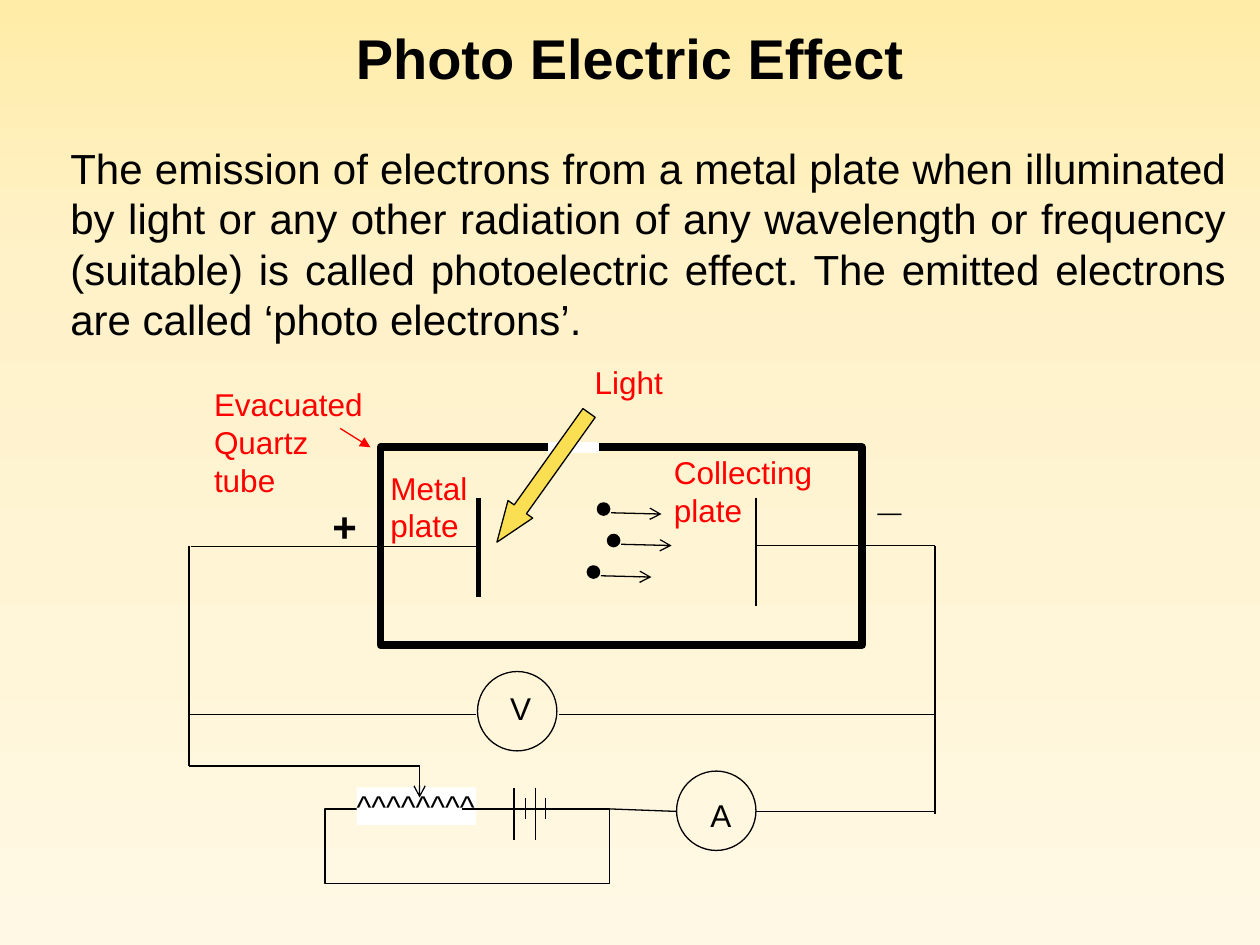
from lxml import etree
from pptx import Presentation
from pptx.dml.color import RGBColor
from pptx.enum.shapes import MSO_CONNECTOR, MSO_SHAPE
from pptx.enum.text import MSO_ANCHOR, PP_ALIGN
from pptx.oxml.ns import qn
from pptx.util import Inches, Pt

RECT, OVAL, LEFT_ARROW = MSO_SHAPE.RECTANGLE, MSO_SHAPE.OVAL, MSO_SHAPE.LEFT_ARROW
STRAIGHT = MSO_CONNECTOR.STRAIGHT
TOP, MIDDLE = MSO_ANCHOR.TOP, MSO_ANCHOR.MIDDLE
LEFT, CENTER, JUSTIFY = PP_ALIGN.LEFT, PP_ALIGN.CENTER, PP_ALIGN.JUSTIFY

BLACK = RGBColor(0x00, 0x00, 0x00)
WHITE = RGBColor(0xFF, 0xFF, 0xFF)
RED = RGBColor(0xFF, 0x00, 0x00)
YELLOW = RGBColor(0xFB, 0xDF, 0x53)
BACKGROUND_STOPS = [
    (0, RGBColor(0xFF, 0xEC, 0xA7)),
    (28, RGBColor(0xFF, 0xF2, 0xC9)),
    (100, RGBColor(0xFF, 0xF8, 0xE4)),
]
FONT = "Arial"

# Content: lengths in inches, line widths in points
TITLE = "Photo Electric Effect"
DEFINITION = (
    "The emission of electrons from a metal plate when illuminated by light or any "
    "other radiation of any wavelength or frequency (suitable) is called photoelectric "
    "effect. The emitted electrons are called ‘photo electrons’."
)
LEFT_X, RIGHT_X = 1.5, 7.42
PLATE_Y, VOLT_Y, SLIDER_Y, SUPPLY_Y = 4.33, 5.67, 6.08, 6.42
METER_SIZE = 0.63
ELECTRON_SIZE = 0.08

# outline, left, top, width, height, line width
OUTLINES = [
    (RECT, 3.02, 3.55, 3.82, 1.57, 4.5),              # quartz tube
    (RECT, 2.58, SUPPLY_Y, 2.26, 0.59, 0.75),         # supply loop
    (OVAL, 3.79, 5.33, METER_SIZE, METER_SIZE, 0.75),  # voltmeter
    (OVAL, 5.37, 6.12, METER_SIZE, METER_SIZE, 0.75),  # ammeter
]
# from x, from y, to x, to y, width, colour, arrowhead
WIRES = [
    (4.35, 3.55, 4.75, 3.55, 6, WHITE, None),         # window in the tube
    (3.8, 3.95, 3.8, 4.74, 3, BLACK, None),           # metal plate
    (6, 3.95, 6, 4.81, 1, BLACK, None),               # collecting plate
    (3.8, 4.34, 1.52, 4.34, 0.75, BLACK, None),
    (RIGHT_X, PLATE_Y, 6, PLATE_Y, 0.75, BLACK, None),
    (LEFT_X, PLATE_Y, LEFT_X, SLIDER_Y, 0.75, BLACK, None),
    (RIGHT_X, PLATE_Y, RIGHT_X, 6.46, 0.75, BLACK, None),
    (3.78, VOLT_Y, LEFT_X, VOLT_Y, 0.75, BLACK, None),
    (4.44, VOLT_Y, RIGHT_X, VOLT_Y, 0.75, BLACK, None),
    (3.33, SLIDER_Y, LEFT_X, SLIDER_Y, 0.75, BLACK, None),
    (3.33, SLIDER_Y, 3.33, 6.33, 0.75, BLACK, "arrow"),
    (3.67, SUPPLY_Y, 3.83, SUPPLY_Y, 0.75, BLACK, None),
    (4.83, SUPPLY_Y, 5.37, 6.44, 0.75, BLACK, None),
    (RIGHT_X, 6.44, 6, 6.44, 0.75, BLACK, None),
    (2.7, 3.4, 2.94, 3.55, 0.75, RED, "triangle"),    # pointer to the tube
]
# x, top, bottom of each battery plate
BATTERY_PLATES = [(4.08, 6.25, 6.67), (4.17, 6.33, 6.5),
                  (4.25, 6.25, 6.67), (4.33, 6.33, 6.5)]
ELECTRONS = [(4.75, 4), (4.83, 4.25), (4.67, 4.5)]
# text, left, top, width, height, size, colour, bold
LABELS = [
    ("V", 3.95, 5.42, 0.63, 0.4, 18, BLACK, False),
    ("A", 5.54, 6.27, 0.63, 0.4, 18, BLACK, False),
    ("Evacuated Quartz tube", 1.6, 3.01, 1.42, 1.01, 18, RED, False),
    ("Metal plate", 3, 3.67, 0.82, 0.7, 18, RED, False),
    ("Collecting plate", 5.25, 3.55, 1.43, 0.7, 18, RED, False),
    ("Light", 4.62, 2.83, 2.05, 0.4, 18, RED, False),
    ("+", 2.54, 3.92, 0.63, 0.51, 24, BLACK, True),
    ("_", 6.87, 3.67, 0.63, 0.51, 24, BLACK, True),
]


def paint_background(slide):
    fill = slide.background.fill
    fill.gradient()
    fill.gradient_angle = 270
    stops = slide.background._cSld.find(".//" + qn("a:gsLst"))
    for stop in list(stops):
        stops.remove(stop)
    for percent, color in BACKGROUND_STOPS:
        stop = etree.SubElement(stops, qn("a:gs"), pos=str(percent * 1000))
        etree.SubElement(stop, qn("a:srgbClr"), val=str(color))


def add_text(slide, text, left, top, width, height, size, color=BLACK, bold=False,
             align=LEFT, anchor=TOP):
    box = slide.shapes.add_textbox(*map(Inches, (left, top, width, height)))
    frame = box.text_frame
    frame.word_wrap = True
    frame.vertical_anchor = anchor
    paragraph = frame.paragraphs[0]
    paragraph.alignment = align
    run = paragraph.add_run()
    run.text = text
    run.font.name, run.font.size, run.font.bold = FONT, Pt(size), bold
    run.font.color.rgb = color
    return box


def add_outline(slide, outline, left, top, width, height, line_width, fill=None):
    shape = slide.shapes.add_shape(outline, *map(Inches, (left, top, width, height)))
    shape.shadow.inherit = False
    if fill is None:
        shape.fill.background()
    else:
        shape.fill.solid()
        shape.fill.fore_color.rgb = fill
    shape.line.color.rgb = BLACK
    shape.line.width = Pt(line_width)
    return shape


def add_wire(slide, x1, y1, x2, y2, width=0.75, color=BLACK, head=None):
    wire = slide.shapes.add_connector(STRAIGHT, *map(Inches, (x1, y1, x2, y2)))
    wire.line.color.rgb = color
    wire.line.width = Pt(width)
    if head:
        etree.SubElement(wire.line._get_or_add_ln(), qn("a:tailEnd"), type=head)
    etree.SubElement(wire._element.spPr, qn("a:effectLst"))


def main():
    prs = Presentation()
    prs.slide_width, prs.slide_height = Inches(10), Inches(7.5)
    slide = prs.slides.add_slide(prs.slide_layouts[6])
    paint_background(slide)

    # Title and definition
    add_text(slide, TITLE, 0.5, -0.17, 9, 1.25, 32, bold=True, align=CENTER, anchor=MIDDLE)
    definition = add_text(slide, DEFINITION, 0.08, 1.08, 9.75, 1.67, 24, align=JUSTIFY)
    definition.text_frame.paragraphs[0]._p.get_or_add_pPr().set("marL", str(Inches(0.38)))

    # Tube, supply loop and meters
    for outline in OUTLINES:
        add_outline(slide, *outline)

    # Resistor
    resistor = add_text(slide, "^^^^^^^^", 2.83, 6.25, 0.95, 0.3, 18)
    resistor.fill.solid()
    resistor.fill.fore_color.rgb = WHITE
    frame = resistor.text_frame
    frame.word_wrap = False
    frame.margin_left = frame.margin_right = frame.margin_top = frame.margin_bottom = 0

    # Wires and battery
    for wire in WIRES:
        add_wire(slide, *wire)
    for x, top, bottom in BATTERY_PLATES:
        add_wire(slide, x, top, x, bottom)

    # Light beam
    beam = add_outline(slide, LEFT_ARROW, 3.68, 3.67, 1.26, 0.24, 0.75, YELLOW)
    beam.adjustments[0], beam.adjustments[1] = 0.5, 1.335
    beam.rotation = 305.5

    # Labels
    for label in LABELS:
        add_text(slide, *label)

    # Emitted electrons
    for x, y in ELECTRONS:
        add_outline(slide, OVAL, x, y, ELECTRON_SIZE, ELECTRON_SIZE, 2, BLACK)
        add_wire(slide, x + 0.1, y + 0.07, x + 0.5, y + 0.08, head="arrow")

    prs.save("out.pptx")


if __name__ == "__main__":
    main()
